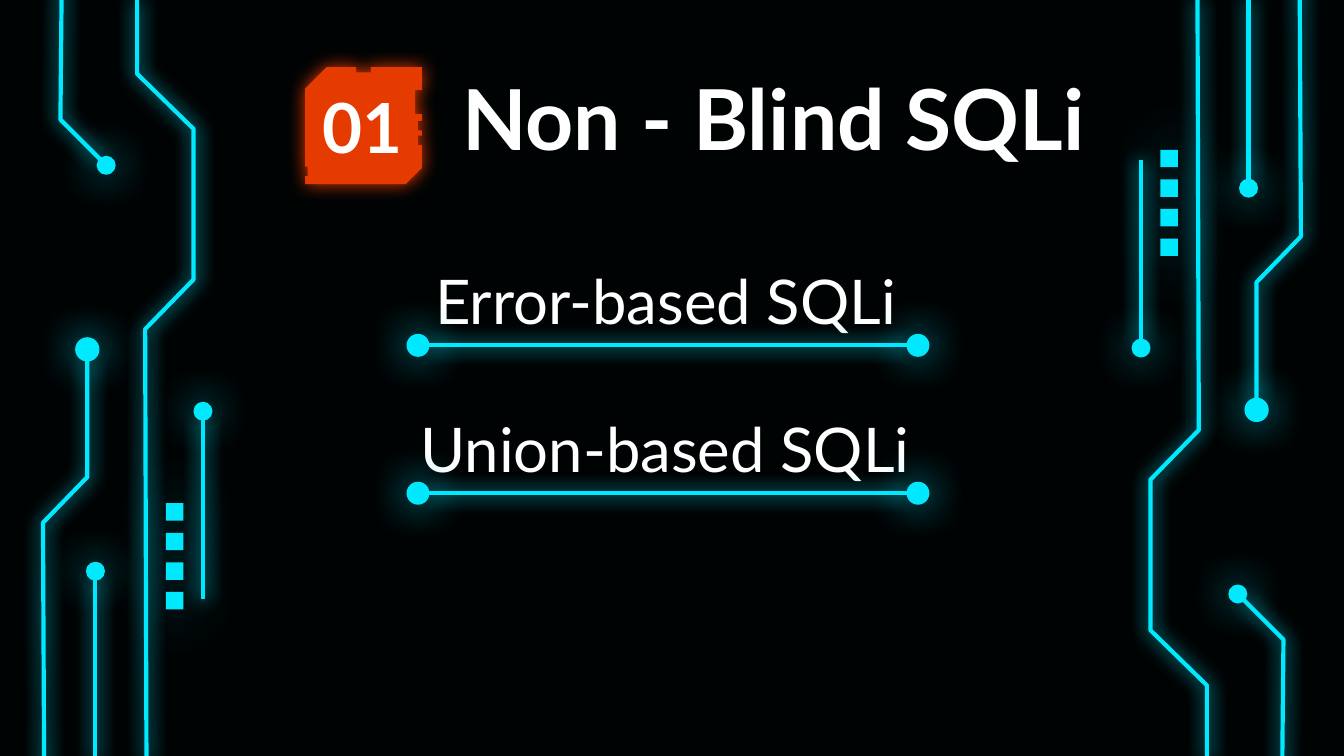
"""Build the Non - Blind SQLi slide with its circuit-board border."""
import pptx
import pptx.util
import pptx.dml.color
import pptx.enum.shapes
import pptx.enum.text
from lxml import etree
from pptx.oxml.ns import qn
from pptx.util import Inches

W = 10
H = W * 9 / 16
MIRROR_H = 5.65
CYAN, ORANGE, WHITE, BLACK = "00E9FF", "E63B00", "FFFFFF", "000304"

TRACES = [
    [(1.09, 5.66), (1.08, 2.45), (1.44, 2.08), (1.44, 0.96), (1.02, 0.55), (1.02, 0)],
    [(0.71, 5.66), (0.71, 4.29)],
    [(0.46, -0.17), (0.45, 0.89), (0.75, 1.19)],
    [(0.33, 5.96), (0.32, 3.89), (0.65, 3.55), (0.65, 2.66)],
    [(1.51, 4.46), (1.51, 3.1)],
]
NODES = [(0.65, 2.6, 0.16), (0.79, 1.23, 0.12), (1.51, 3.06, 0.12), (0.71, 4.25, 0.12)]
PAD_X, PAD_Y, PAD_SIZE, PAD_STEP, PAD_COUNT = 1.3, 3.81, 0.13, 0.22, 4
BADGE = [
    (2.43, 0.5), (2.27, 0.66), (2.27, 1.24), (2.29, 1.24), (2.29, 1.31), (2.27, 1.31),
    (2.27, 1.37), (3.02, 1.37), (3.14, 1.25), (3.14, 1.08), (3.11, 1.08), (3.11, 1.01),
    (3.14, 1.01), (3.14, 0.97), (3.11, 0.97), (3.11, 0.9), (3.14, 0.9), (3.14, 0.85),
    (3.09, 0.85), (3.09, 0.67), (3.14, 0.67), (3.14, 0.5), (2.76, 0.5), (2.76, 0.54),
    (2.65, 0.54), (2.65, 0.5),
]
TOPICS = [("Error-based SQLi", 3.14, 3.77), ("Union-based SQLi", 3.03, 3.93)]
TOPIC_Y, TOPIC_STEP = 1.91, 1.1
RULE_LEFT, RULE_RIGHT, RULE_DROP, RULE_DOT = 3.11, 6.83, 0.66, 0.15


def color(value):
    return pptx.dml.color.RGBColor.from_string(value)


def style(sp, fill=None, line=None, width=2.25, glow=CYAN, alpha=100, blur=10.1, dist=0):
    if fill:
        sp.fill.solid()
        sp.fill.fore_color.rgb = color(fill)
    elif hasattr(sp, "fill"):
        sp.fill.background()
    if line:
        sp.line.color.rgb = color(line)
        sp.line.width = pptx.util.Pt(width)
    else:
        sp.line.fill.background()
    effects = etree.SubElement(sp._element.spPr, qn("a:effectLst"))
    shadow = etree.SubElement(
        effects, qn("a:outerShdw"), blurRad=str(pptx.util.Pt(blur)),
        dist=str(pptx.util.Pt(dist)), dir="0", algn="bl", rotWithShape="0")
    rgb = etree.SubElement(shadow, qn("a:srgbClr"), val=glow)
    etree.SubElement(rgb, qn("a:alpha"), val=str(alpha * 1000))


def outline(s, points, close=False, **fmt):
    points = [(Inches(x), Inches(y)) for x, y in points]
    builder = s.shapes.build_freeform(*points[0])
    builder.add_line_segments(points[1:], close=close)
    style(builder.convert_to_shape(), **fmt)


def centred(s, kind, x, y, size, **fmt):
    sp = s.shapes.add_shape(kind, Inches(x - size / 2), Inches(y - size / 2),
                            Inches(size), Inches(size))
    style(sp, fill=CYAN, **fmt)


def node(s, x, y, size):
    centred(s, pptx.enum.shapes.MSO_SHAPE.OVAL, x, y, size, line=CYAN, width=1.5, blur=22.5)


def border(s, place):
    for trace in TRACES:
        outline(s, [place(x, y) for x, y in trace], line=CYAN)
    for x, y, size in NODES:
        node(s, *place(x, y), size)
    for i in range(PAD_COUNT):
        centred(s, pptx.enum.shapes.MSO_SHAPE.RECTANGLE, *place(PAD_X, PAD_Y + i * PAD_STEP),
                PAD_SIZE, alpha=70, blur=36, dist=1.5)


def rule(s, y):
    for x in (RULE_LEFT, RULE_RIGHT):
        node(s, x, y, RULE_DOT)
    gap = RULE_DOT / 2
    line = s.shapes.add_connector(
        pptx.enum.shapes.MSO_CONNECTOR.STRAIGHT,
        Inches(RULE_LEFT + gap), Inches(y), Inches(RULE_RIGHT - gap), Inches(y))
    style(line, line=CYAN)


def text(s, words, box, size, bold=False, align="LEFT", anchor="TOP", pad=0.05):
    tf = s.shapes.add_textbox(*map(Inches, box)).text_frame
    tf.word_wrap = True
    tf.margin_top = tf.margin_bottom = Inches(pad)
    tf.vertical_anchor = pptx.enum.text.MSO_ANCHOR[anchor]
    p = tf.paragraphs[0]
    p.alignment = pptx.enum.text.PP_ALIGN[align]
    r = p.add_run()
    r.text = words
    r.font.name, r.font.size, r.font.bold = "Lato", pptx.util.Pt(size), bold
    r.font.color.rgb = color(WHITE)


def main():
    prs = pptx.Presentation()
    prs.slide_width, prs.slide_height = Inches(W), Inches(H)
    s = prs.slides.add_slide(prs.slide_layouts[6])
    s.background.fill.solid()
    s.background.fill.fore_color.rgb = color(BLACK)

    border(s, lambda x, y: (x, y))
    border(s, lambda x, y: (W - x, MIRROR_H - y))

    text(s, "Non - Blind SQLi", (3.34, 0.5, 5.26, 0.74), 45, bold=True, anchor="MIDDLE", pad=0.1)
    for i, (words, left, width) in enumerate(TOPICS):
        top = TOPIC_Y + i * TOPIC_STEP
        text(s, words, (left, top, width, 0.66), 33)
        rule(s, top + RULE_DROP)
    outline(s, BADGE, close=True, fill=ORANGE, glow=ORANGE)
    text(s, "01", (2.26, 0.63, 0.88, 0.61), 37, bold=True, align="CENTER", anchor="MIDDLE", pad=0.1)
    prs.save("out.pptx")


if __name__ == "__main__":
    main()
